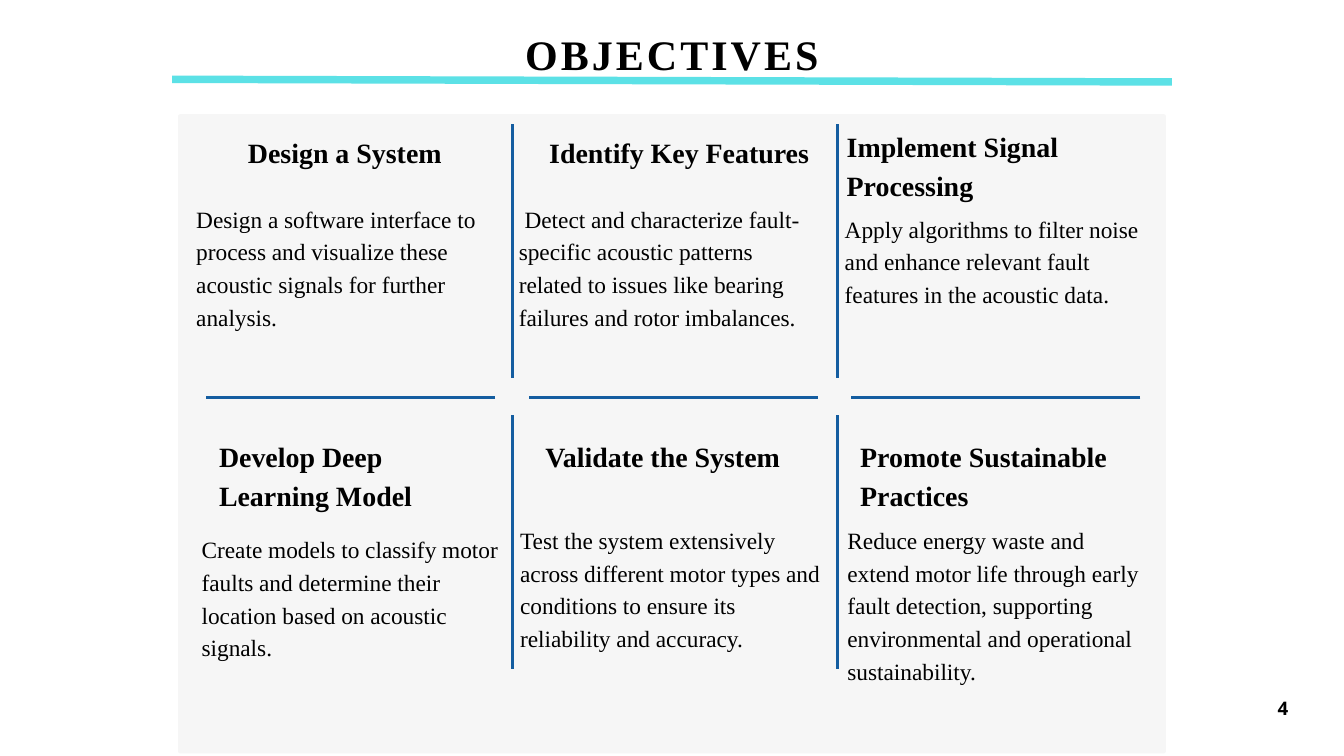
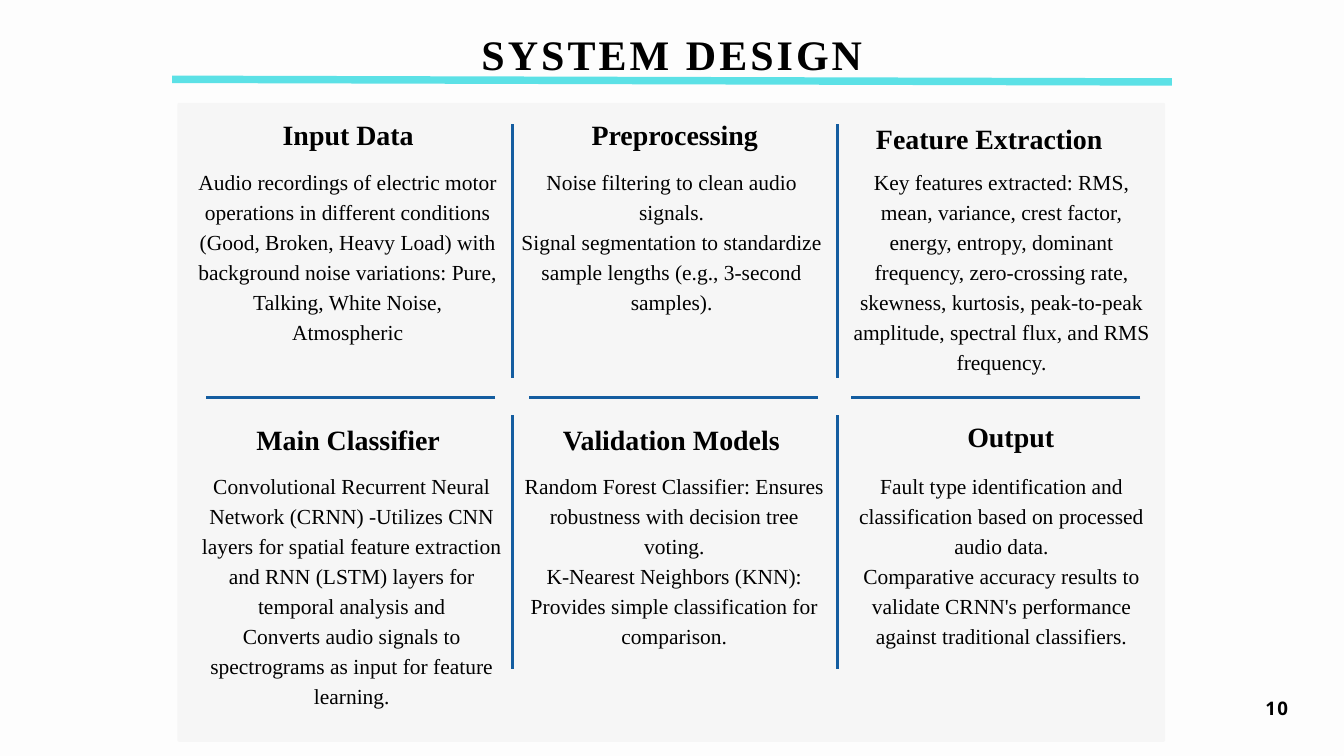
from lxml.etree import SubElement
from pptx import Presentation
from pptx.dml.color import RGBColor as RGB
from pptx.enum.shapes import MSO_CONNECTOR as CONN, MSO_SHAPE as SHAPE
from pptx.enum.text import MSO_AUTO_SIZE as AUTO, PP_ALIGN as ALIGN
from pptx.oxml.ns import qn
from pptx.util import Inches, Pt

# Content: each card is heading, heading box, paragraphs, body box.
# A heading box is (indent, drop, width, height) and a body box
# (indent, drop, height), in inches from the corner of the card's cell.
SLIDES = [
    {
        "title": "OBJECTIVES", "number": "4", "background": "page",
        "panel": (2.65, 1.7), "align": ALIGN.LEFT, "body": (25, 35),
        "cards": [
            ("Design a System", (0.77, 0.09, 2.98, 0.54),
             ["Design a software interface to process and visualize these "
              "acoustic signals for further analysis."],
             (0, 1.13, 1.95)),
            (" Identify Key Features", (0.32, 0.09, 4.13, 0.54),
             [" Detect and characterize fault-specific acoustic patterns "
              "related to issues like bearing failures and rotor imbalances."],
             (-0.03, 1.13, 2.43)),
            ("Implement Signal Processing", (0.02, 0, 4.87, 1.13),
             ["Apply algorithms to filter noise and enhance relevant fault "
              "features in the acoustic data."],
             (-0.01, 1.28, 1.43)),
            ("Develop Deep Learning Model", (0.34, 0.28, 3.84, 1.13),
             ["Create models to classify motor faults and determine their "
              "location based on acoustic signals."],
             (0.08, 1.72, 1.95)),
            (" Validate the System", (0.27, 0.28, 3.92, 0.54),
             ["Test the system extensively across different motor types and "
              "conditions to ensure its reliability and accuracy."],
             (-0.01, 1.58, 1.95)),
            ("Promote Sustainable Practices", (0.22, 0.28, 4.14, 1.13),
             ["Reduce energy waste and extend motor life through early fault "
              "detection, supporting environmental and operational "
              "sustainability."],
             (0.03, 1.58, 2.43)),
        ],
    },
    {
        "title": "SYSTEM DESIGN", "number": "10", "background": "soft page",
        "panel": (2.64, 1.53), "align": ALIGN.CENTER, "body": (23, 32.2),
        "cards": [
            ("Input Data", (0.77, -0.19, 2.98, 0.61),
             ["Audio recordings of electric motor operations in different "
              "conditions (Good, Broken, Heavy Load) with background noise "
              "variations: Pure, Talking, White Noise, Atmospheric"],
             (0, 0.6, 2.67)),
            ("Preprocessing", (0.33, -0.19, 3.92, 0.61),
             ["Noise filtering to clean audio signals.",
              "Signal segmentation to standardize sample lengths "
              "(e.g., 3-second samples)."],
             (-0.01, 0.6, 2.67)),
            ("Feature Extraction", (-0.01, -0.13, 4.3, 0.61),
             ["Key features extracted: RMS, mean, variance, crest factor, "
              "energy, entropy, dominant frequency, zero-crossing rate, "
              "skewness, kurtosis, peak-to-peak amplitude, spectral flux, "
              "and RMS frequency."],
             (0.07, 0.6, 3.1)),
            ("Main Classifier", (0.34, 0.03, 3.84, 0.61),
             ["Convolutional Recurrent Neural Network (CRNN) -Utilizes CNN "
              "layers for spatial feature extraction and RNN (LSTM) layers "
              "for temporal analysis and",
              "Converts audio signals to spectrograms as input for feature "
              "learning."],
             (0.06, 0.79, 3.54)),
            ("Validation Models", (0.28, 0.03, 3.92, 0.61),
             ["Random Forest Classifier: Ensures robustness with decision "
              "tree voting.",
              "K-Nearest Neighbors (KNN): Provides simple classification for "
              "comparison."],
             (0.03, 0.79, 2.67)),
            ("Output", (0.39, -0.02, 4.14, 0.61),
             ["Fault type identification and classification based on "
              "processed audio data.",
              "Comparative accuracy results to validate CRNN's performance "
              "against traditional classifiers."],
             (0.07, 0.79, 3.1)),
        ],
    },
]

# Shared style and grid
COLORS = {"page": "FFFFFF", "soft page": "FDFDFD", "panel": "F6F6F6",
          "divider": "145DA0", "band": "5CE1E6", "ink": "000000"}
SERIF, SANS = "Times New Roman", "Open Sans"
WIDTH, HEIGHT = 20, 11.25
COLS, ROWS = 3, 2
LEFT, TOP, COL_STEP, ROW_STEP = 2.92, 1.85, 4.83, 4.33
BODY_W = 4.51


def color(name):
    return RGB.from_string(COLORS[name])


def add_text(slide, box, paragraphs, size, leading, font=SERIF, bold=False,
             align=ALIGN.LEFT, tracking=0):
    tf = slide.shapes.add_textbox(*map(Inches, box)).text_frame
    tf.margin_left = tf.margin_right = tf.margin_top = tf.margin_bottom = 0
    tf.word_wrap = True
    tf.auto_size = AUTO.SHAPE_TO_FIT_TEXT
    for i, text in enumerate(paragraphs):
        p = tf.add_paragraph() if i else tf.paragraphs[0]
        p.alignment, p.line_spacing = align, Pt(leading)
        r = p.add_run()
        r.text = text
        r.font.name, r.font.size, r.font.bold = font, Pt(size), bold
        r.font.color.rgb = color("ink")
        if tracking:
            r.font._element.set("spc", str(round(tracking * 100)))


def add_line(slide, start, end, name, width):
    line = slide.shapes.add_connector(CONN.STRAIGHT,
                                      *map(Inches, (*start, *end)))
    line.line.color.rgb = color(name)
    line.line.width = Pt(width)
    SubElement(line._element.spPr, qn("a:effectLst"))


def add_panel(slide, corner):
    sp = slide.shapes.add_shape(SHAPE.ROUNDED_RECTANGLE,
                                *map(Inches, (*corner, 14.7, 9.51)))
    sp.adjustments[0] = 0.03 / 9.51
    sp.shadow.inherit = False
    sp.fill.solid()
    sp.fill.fore_color.rgb = color("panel")
    sp.line.fill.background()


def add_dividers(slide):
    for row in range(ROWS):
        y = TOP + row * ROW_STEP
        for col in range(COLS - 1):
            x = LEFT + 4.71 + col * COL_STEP
            add_line(slide, (x, y), (x, y + 3.77), "divider", 3)
    for col in range(COLS):
        x = 3.07 + col * 4.8
        add_line(slide, (x + 4.3, 5.91), (x, 5.91), "divider", 3)


def add_cards(slide, data):
    for i, (heading, head_box, body, body_box) in enumerate(data["cards"]):
        row, col = divmod(i, COLS)
        x, y = LEFT + col * COL_STEP, TOP + row * ROW_STEP
        dx, dy, w, h = head_box
        add_text(slide, (x + dx, y + dy, w, h), [heading], 29.9, 41.9,
                 bold=True, align=data["align"])
        dx, dy, h = body_box
        add_text(slide, (x + dx, y + dy, BODY_W, h), body, *data["body"],
                 align=data["align"])


def add_frame(slide, data):
    # Page number, title and the band under it
    w = 0.18 * len(data["number"])
    add_text(slide, (19.17 - w, 10.27, w, 0.4), [data["number"]], 20, 31,
             SANS, True, ALIGN.RIGHT, 1.5)
    add_text(slide, (0, 0.3, WIDTH, 0.88), [data["title"]], 45, 63,
             SERIF, True, ALIGN.CENTER, 3.3)
    add_line(slide, (2.56, 1.18), (17.44, 1.22), "band", 8)


def main():
    prs = Presentation()
    prs.slide_width, prs.slide_height = Inches(WIDTH), Inches(HEIGHT)
    for data in SLIDES:
        slide = prs.slides.add_slide(prs.slide_layouts[6])
        fill = slide.background.fill
        fill.solid()
        fill.fore_color.rgb = color(data["background"])
        add_panel(slide, data["panel"])
        add_dividers(slide)
        add_cards(slide, data)
        add_frame(slide, data)
    prs.save("out.pptx")


if __name__ == "__main__":
    main()
